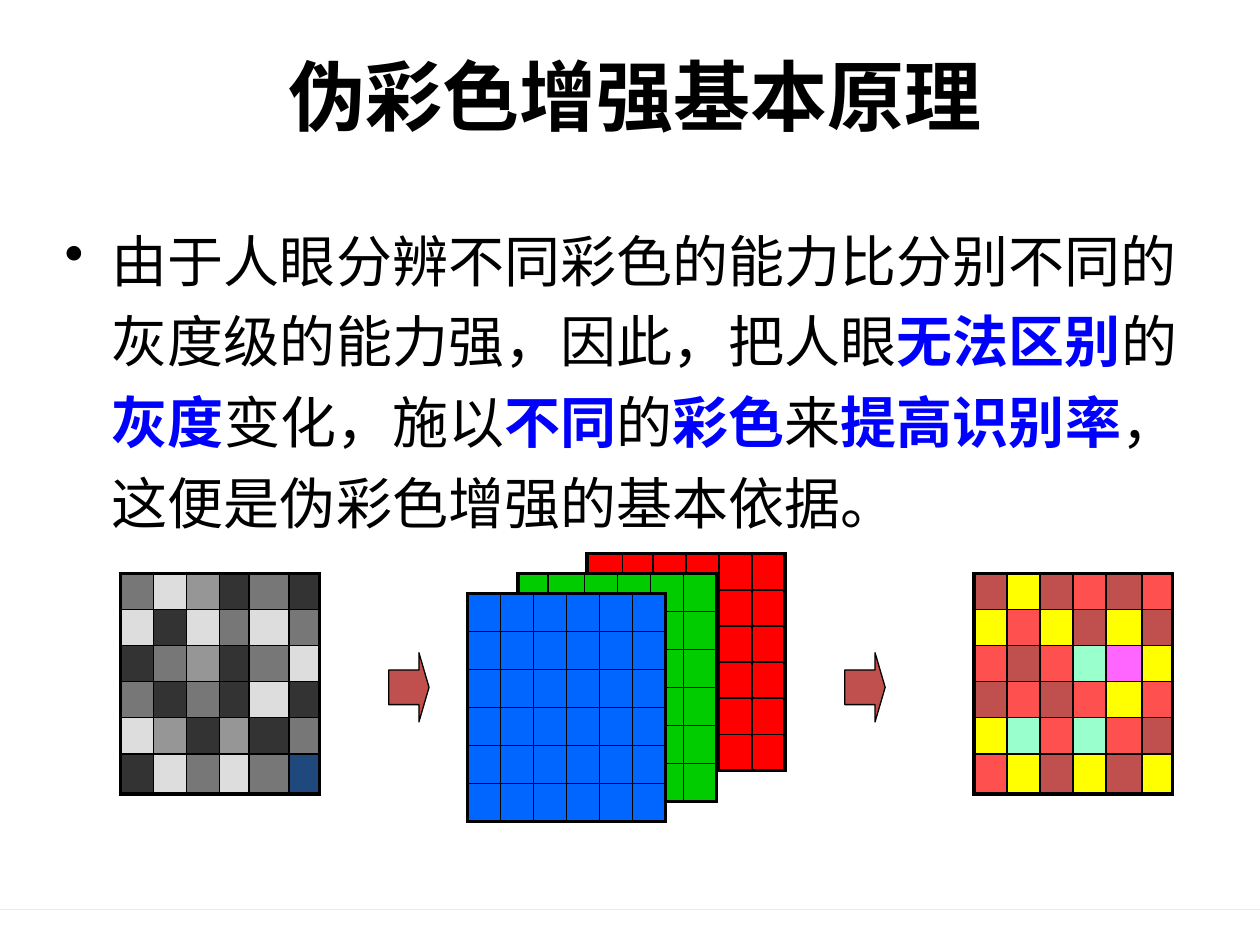
from dataclasses import dataclass

from pptx import Presentation, util as u
from pptx.dml.color import RGBColor
from pptx.enum import shapes, text
from pptx.oxml.xmlchemy import OxmlElement

COLS, ROWS = 100, 75  # slide grid
UNIT = u.Inches(0.1)


@dataclass(frozen=True)
class Theme:
    font: str = "Arial"
    ink: str = "000000"
    paper: str = "FFFFFF"
    mark: str = "0000FF"
    arrow: str = "C0504D"
    rule: str = "EEECE1"
    head: int = 44
    body: int = 32
    cell: int = 8
    thin: float = 0.75
    inner: float = 1
    outer: float = 2.25


@dataclass(frozen=True)
class Box:
    left: float
    top: float
    wide: float
    high: float

    def emu(self) -> tuple:
        return tuple(map(grid, (self.left, self.top, self.wide, self.high)))


@dataclass(frozen=True)
class Mosaic:
    """A pixel grid; each letter of a line is a key of TINTS."""
    left: float
    top: float
    wides: tuple
    highs: tuple
    lines: tuple


THEME = Theme()
TINTS = {
    "m": "777777", "l": "DDDDDD", "g": "969696", "d": "333333", "n": "1F497D",
    "R": "FF0000", "G": "00CC00", "B": "0066FF",
    "b": "C0504D", "y": "FFFF00", "r": "FF5050", "t": "99FFCC", "p": "FF66FF",
}
TITLE = "伪彩色增强基本原理"
# Asterisks enclose the marked words.
BODY = ("由于人眼分辨不同彩色的能力比分别不同的灰度级的能力强，因此，把人眼"
        "*无法区别*的*灰度*变化，施以*不同*的*彩色*来*提高识别率*"
        "，这便是伪彩色增强的基本依据。")
SIDE = 2.62
TALL = (2.87,) * 5 + (3.2,)
MOSAICS = (
    Mosaic(9.55, 45.5, (SIDE,) * 3 + (2.35, 3.2, 2.4), TALL,
           ("mlgdmd", "ldlmlm", "dmgdml", "mdmdld", "lgdgdm", "dlmlmn")),
    Mosaic(46.6, 43.95, (2.8, 2.42) + (SIDE,) * 4, (2.87,) * 6, ("R" * 6,) * 6),
    Mosaic(41.1, 45.5, (2.4, 2.9) + (SIDE,) * 4, (3.02,) * 6, ("G" * 6,) * 6),
    Mosaic(37.1, 47.1, (SIDE,) * 6, (3.02,) * 6, ("B" * 6,) * 6),
    Mosaic(77.3, 45.5, (SIDE,) * 4 + (2.87, 2.4), TALL,
           ("bybrbr", "yrybyb", "rbrtpy", "brbryr", "ytrtrb", "rybyby")),
)
ARROWS = (Box(30.85, 51.8, 3.2, 5.5), Box(67.05, 51.8, 3.2, 5.5))


def grid(count: float) -> u.Emu:
    return u.Emu(round(count * UNIT))


def rgb(code: str) -> RGBColor:
    return RGBColor.from_string(code)


def style(run, size: int, color: str, bold: bool) -> None:
    font = run.font
    font.name, font.size, font.bold = THEME.font, u.Pt(size), bold
    font.color.rgb = rgb(color)


def add_title(slide) -> None:
    title = slide.shapes.title
    title.left, title.top, title.width, title.height = Box(9.9, 0, 81.1, 15).emu()
    frame = title.text_frame
    frame.text = TITLE
    frame.vertical_anchor = text.MSO_ANCHOR.MIDDLE
    para = frame.paragraphs[0]
    para.alignment = text.PP_ALIGN.CENTER
    style(para.runs[0], THEME.head, THEME.ink, True)


def add_body(slide) -> None:
    box = slide.shapes.add_textbox(*Box(4.15, 16.4, 91.9, 27.8).emu())
    box.fill.solid()
    box.fill.fore_color.rgb = rgb(THEME.paper)
    frame = box.text_frame
    frame.word_wrap = True
    para = frame.paragraphs[0]
    props = para._p.get_or_add_pPr()
    props.set("marL", str(grid(3.75)))
    props.set("indent", str(grid(-3.75)))
    bullet = OxmlElement("a:buChar")
    bullet.set("char", "•")
    props.append(bullet)
    para.line_spacing = 1.2
    for index, part in enumerate(BODY.split("*")):
        marked = index % 2 == 1
        run = para.add_run()
        run.text = part
        style(run, THEME.body, THEME.mark if marked else THEME.ink, marked)


def add_edge(cell, side: str, width: float) -> None:
    line = OxmlElement(f"a:ln{side}")
    line.set("w", str(u.Pt(width)))
    fill, color = OxmlElement("a:solidFill"), OxmlElement("a:srgbClr")
    color.set("val", THEME.ink)
    fill.append(color)
    line.append(fill)
    cell._tc.get_or_add_tcPr().append(line)


def paint(cell, color: str, edges: dict) -> None:
    """Fill an empty cell; edges tells which sides are on the rim."""
    cell.margin_left = cell.margin_right = 0
    cell.margin_top = cell.margin_bottom = 0
    for side, rim in edges.items():
        add_edge(cell, side, THEME.outer if rim else THEME.inner)
    cell.fill.solid()
    cell.fill.fore_color.rgb = rgb(color)
    # Keeps the empty line lower than the row.
    end = OxmlElement("a:endParaRPr")
    end.set("sz", str(THEME.cell * 100))
    cell.text_frame.paragraphs[0]._p.append(end)


def add_mosaic(slide, item: Mosaic) -> None:
    rows, cols = len(item.highs), len(item.wides)
    box = Box(item.left, item.top, sum(item.wides), sum(item.highs))
    table = slide.shapes.add_table(rows, cols, *box.emu()).table
    table.first_row = table.horz_banding = False
    for col, wide in zip(table.columns, item.wides):
        col.width = grid(wide)
    for row, high in zip(table.rows, item.highs):
        row.height = grid(high)
    for r, line in enumerate(item.lines):
        for c, key in enumerate(line):
            edges = {"L": c == 0, "R": c == cols - 1,
                     "T": r == 0, "B": r == rows - 1}
            paint(table.cell(r, c), TINTS[key], edges)


def add_arrow(slide, box: Box) -> None:
    arrow = slide.shapes.add_shape(shapes.MSO_SHAPE.RIGHT_ARROW, *box.emu())
    arrow.adjustments[0], arrow.adjustments[1] = 0.5, 0.25
    arrow.shadow.inherit = False
    arrow.fill.solid()
    arrow.fill.fore_color.rgb = rgb(THEME.arrow)
    arrow.line.color.rgb = rgb(THEME.ink)
    arrow.line.width = u.Pt(THEME.thin)


def add_rule(slide) -> None:
    level = grid(72.2)
    rule = slide.shapes.add_connector(
        shapes.MSO_CONNECTOR.STRAIGHT, 0, level, grid(COLS), level)
    rule.line.color.rgb = rgb(THEME.rule)
    rule.line.width = u.Pt(THEME.thin)
    rule._element.spPr.append(OxmlElement("a:effectLst"))


def main() -> None:
    deck = Presentation()
    deck.slide_width, deck.slide_height = grid(COLS), grid(ROWS)
    slide = deck.slides.add_slide(deck.slide_layouts[5])
    add_rule(slide)
    add_title(slide)
    add_body(slide)
    for item in MOSAICS:
        add_mosaic(slide, item)
    for box in ARROWS:
        add_arrow(slide, box)
    deck.save("out.pptx")


if __name__ == "__main__":
    main()
